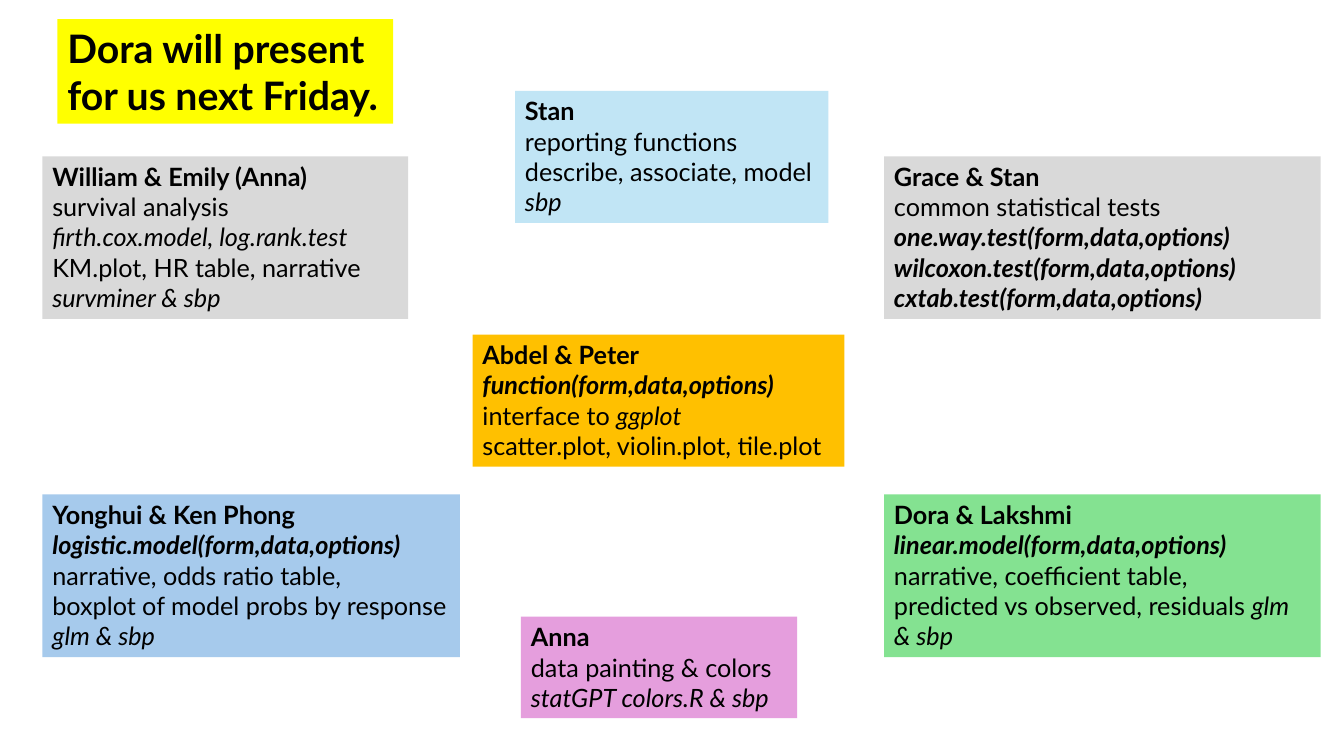
from dataclasses import dataclass

from pptx import Presentation
from pptx.dml.color import RGBColor as Color
from pptx.enum.text import MSO_AUTO_SIZE as Fit, PP_ALIGN as Align
from pptx.util import Cm, Pt


@dataclass(frozen=True)
class Theme:
    font: str = "Lato"
    ink: str = "000000"
    body: int = 18
    head: int = 28
    yellow: str = "FFFF00"
    sky: str = "C1E5F5"
    pink: str = "E59EDD"
    gray: str = "D9D9D9"
    gold: str = "FFC000"
    blue: str = "A6CAEC"
    green: str = "84E291"


THEME = Theme()
PAD = 0.25
LINE = 0.77
LEFT, RIGHT = 1.07, 22.28
TOP, LOW = 3.94, 12.46

PLAIN = {"bold": False, "italic": False}
BOLD = {"bold": True, "italic": False}
SLANT = {"bold": False, "italic": True}
CODE = {"bold": True, "italic": True}

CARDS = [
    (THEME.sky, 12.98, 2.29, 7.9, 4, [
        [("Stan", BOLD)],
        [("reporting functions", PLAIN)],
        [("describe, associate, model", PLAIN)],
        [("sbp", SLANT)],
    ]),
    (THEME.pink, 13.13, 15.54, 6.96, 3, [
        [("Anna", BOLD)],
        [("data painting & colors", PLAIN)],
        [("statGPT colors.R & sbp", SLANT)],
    ]),
    (THEME.gray, LEFT, TOP, 9.22, 5, [
        [("William & Emily (Anna)", BOLD)],
        [("survival analysis", PLAIN)],
        [("firth.cox.model, log.rank.test", SLANT)],
        [("KM.plot, HR table, narrative", PLAIN)],
        [("survminer & sbp", SLANT)],
    ]),
    (THEME.gold, 11.91, 8.43, 9.37, 4, [
        [("Abdel & Peter", BOLD)],
        [("function(form,data,options) ", CODE),
         ("interface to ", PLAIN), ("ggplot", SLANT)],
        [("scatter.plot, violin.plot, tile.plot", PLAIN)],
    ]),
    (THEME.blue, LEFT, LOW, 10.52, 5, [
        [("Yonghui & Ken Phong", BOLD)],
        [("logistic.model(form,data,options)", CODE)],
        [("narrative, odds ratio table,", PLAIN)],
        [("boxplot of model probs by response", PLAIN)],
        [("glm & sbp", SLANT)],
    ]),
    (THEME.green, RIGHT, LOW, 11, 5, [
        [("Dora & Lakshmi", BOLD)],
        [("linear.model(form,data,options)", CODE)],
        [("narrative, coefficient table,", PLAIN)],
        [("predicted vs observed, residuals ", PLAIN), ("glm & sbp", SLANT)],
    ]),
    (THEME.gray, RIGHT, TOP, 11, 5, [
        [("Grace & Stan", BOLD)],
        [("common statistical tests", PLAIN)],
        [("one.way.test(form,data,options)", CODE)],
        [("wilcoxon.test(form,data,options)", CODE)],
        [("cxtab.test(form,data,options)", CODE)],
    ]),
]
NOTICE = [[("Dora will present for us next Friday.", BOLD)]]


def add_run(para, text, style, size):
    run = para.add_run()
    run.text = text
    look = {"name": THEME.font, "size": Pt(size), **style}
    for key, value in look.items():
        setattr(run.font, key, value)
    run.font.color.rgb = Color.from_string(THEME.ink)


def add_card(slide, fill, left, top, width, height, rows, size):
    box = slide.shapes.add_textbox(Cm(left), Cm(top), Cm(width), Cm(height))
    box.fill.solid()
    box.fill.fore_color.rgb = Color.from_string(fill)
    frame = box.text_frame
    for key, value in {"word_wrap": True, "auto_size": Fit.SHAPE_TO_FIT_TEXT}.items():
        setattr(frame, key, value)
    for index, row in enumerate(rows):
        para = frame.add_paragraph() if index else frame.paragraphs[0]
        para.alignment = Align.LEFT
        for text, style in row:
            add_run(para, text, style, size)


def main():
    deck = Presentation()
    deck.slide_width, deck.slide_height = Cm(33.87), Cm(19.05)
    slide = deck.slides.add_slide(deck.slide_layouts[6])
    for fill, left, top, width, lines, rows in CARDS:
        height = PAD + lines * LINE
        add_card(slide, fill, left, top, width, height, rows, THEME.body)
    add_card(slide, THEME.yellow, 1.45, 0.48, 8.46, 2.64, NOTICE, THEME.head)
    deck.save("out.pptx")


if __name__ == "__main__":
    main()
